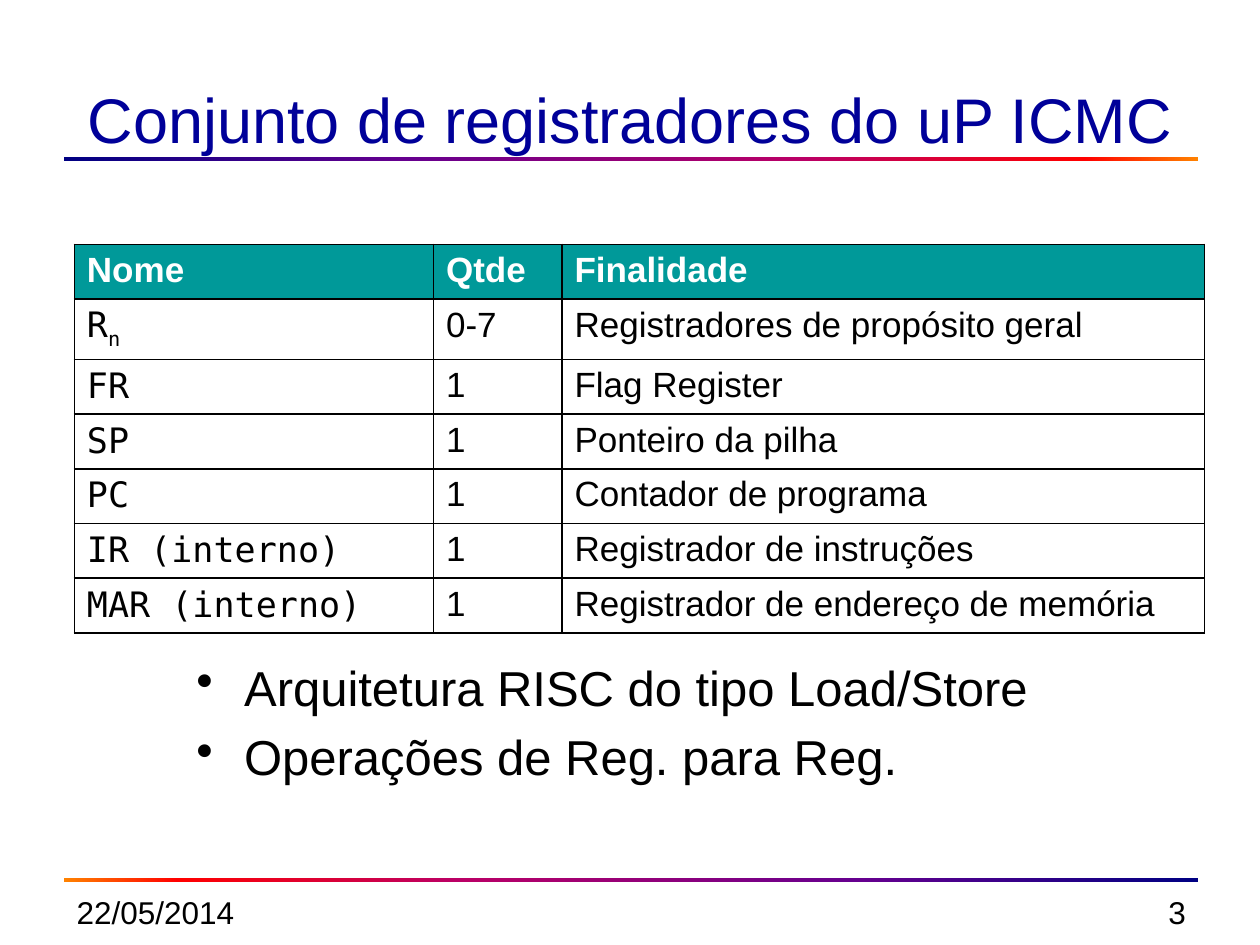
from lxml import etree
from pptx import Presentation
from pptx.dml.color import RGBColor
from pptx.enum.shapes import MSO_SHAPE
from pptx.enum.text import MSO_ANCHOR, PP_ALIGN
from pptx.oxml import parse_xml
from pptx.oxml.ns import nsdecls, qn
from pptx.util import Inches, Pt

RECT = MSO_SHAPE.RECTANGLE
LEFT, MID, RIGHT = PP_ALIGN.LEFT, PP_ALIGN.CENTER, PP_ALIGN.RIGHT
TOP, BASE = MSO_ANCHOR.TOP, MSO_ANCHOR.BOTTOM
SANS, MONO = "Arial", "DejaVu Sans Mono"
HANG = Inches(0.38)
COLORS = {"title": "000099", "head": "009999", "text": "000000", "light": "FFFFFF"}
STOPS = [(0, "000082"), (30, "66008F"), (65, "BA0066"), (90, "FF0000"), (100, "FF8200")]
FORMATS = {
    "title": {"size": Pt(36), "name": SANS},
    "foot": {"size": Pt(18), "name": SANS},
    "list": {"size": Pt(28), "name": SANS},
    "head": {"size": Pt(20), "name": SANS, "bold": True},
    "name": {"size": Pt(20), "name": MONO, "bold": False},
    "cell": {"size": Pt(20), "name": SANS, "bold": False},
}
ROWS = [
    ("Nome", "Qtde", "Finalidade"),
    ("R", "0-7", "Registradores de propósito geral"),
    ("FR", "1", "Flag Register"),
    ("SP", "1", "Ponteiro da pilha"),
    ("PC", "1", "Contador de programa"),
    ("IR (interno)", "1", "Registrador de instruções"),
    ("MAR (interno)", "1", "Registrador de endereço de memória"),
]
ITEMS = ["Arquitetura RISC do tipo Load/Store", "Operações de Reg. para Reg."]


def inches(box):
    """Turn a box of numbers into lengths."""
    return [Inches(v) for v in box]


def add_run(para, text, style, color="text"):
    """Add a formatted run to a paragraph."""
    run = para.add_run()
    run.text = text
    for key, value in FORMATS[style].items():
        setattr(run.font, key, value)
    run.font.color.rgb = RGBColor.from_string(COLORS[color])
    return run


def hang(para):
    """Give a paragraph a hanging indent."""
    props = para._p.get_or_add_pPr()
    props.set("marL", str(HANG))
    props.set("indent", str(-HANG))
    return props


def add_text(slide, box, lines, style, color="text", align=LEFT, anchor=TOP, bullet=None):
    """Place a text box with one paragraph for each line."""
    frame = slide.shapes.add_textbox(*inches(box)).text_frame
    frame.word_wrap = True
    frame.vertical_anchor = anchor
    for i, line in enumerate(lines):
        para = frame.add_paragraph() if i else frame.paragraphs[0]
        para.alignment = align
        if bullet:
            para.space_before = Pt(6)
            etree.SubElement(hang(para), qn("a:buChar")).set("char", bullet)
        add_run(para, line, style, color)


def add_bar(slide, box, stops):
    """Place a thin bar with a gradient from left to right."""
    bar = slide.shapes.add_shape(RECT, *inches(box))
    bar.shadow.inherit = False
    bar.line.fill.background()
    marks = "".join(
        f'<a:gs pos="{pos * 1000}"><a:srgbClr val="{color}"/></a:gs>' for pos, color in stops
    )
    fill = parse_xml(
        f'<a:gradFill {nsdecls("a")}><a:gsLst>{marks}</a:gsLst><a:lin ang="0" scaled="0"/></a:gradFill>'
    )
    bar._element.spPr.find(qn("a:prstGeom")).addnext(fill)


def add_edges(cell):
    """Draw the four borders of a cell."""
    props = cell._tc.get_or_add_tcPr()
    for side in "LRTB":
        props.append(parse_xml(
            f'<a:ln{side} {nsdecls("a")} w="{Pt(1)}"><a:solidFill>'
            f'<a:srgbClr val="{COLORS["text"]}"/></a:solidFill></a:ln{side}>'
        ))


def add_grid(slide, box, widths):
    """Place the table of registers."""
    grid = slide.shapes.add_table(len(ROWS), len(widths), *inches(box)).table
    grid.horz_banding = False
    for col, width in zip(grid.columns, widths):
        col.width = Inches(width)
    for r, row in enumerate(ROWS):
        grid.rows[r].height = Inches(0.38)
        for c, text in enumerate(row):
            cell = grid.cell(r, c)
            add_edges(cell)
            para = cell.text_frame.paragraphs[0]
            hang(para)
            if r == 0:
                cell.fill.solid()
                cell.fill.fore_color.rgb = RGBColor.from_string(COLORS["head"])
                add_run(para, text, "head", "light")
            else:
                cell.fill.background()
                add_run(para, text, "cell" if c else "name")
    index = add_run(grid.cell(1, 0).text_frame.paragraphs[0], "n", "name")
    index.font._element.set("baseline", "-25000")


def add_frame(slide, left, width):
    """Place the two bars, the date and the page number."""
    add_bar(slide, (left, 1.25, width, 0.03), STOPS)
    add_bar(slide, (left, 6.97, width, 0.03), [(100 - p, c) for p, c in reversed(STOPS)])
    add_text(slide, (left, 7.04, 2.33, 0.52), ["22/05/2014"], "foot")
    add_text(slide, (left + width - 2.33, 7.04, 2.33, 0.52), ["3"], "foot", align=RIGHT)


def main():
    """Build and save the slide."""
    deck = Presentation()
    deck.slide_width, deck.slide_height = Inches(10), Inches(7.5)
    slide = deck.slides.add_slide(deck.slide_layouts[6])
    add_frame(slide, 0.51, 9)
    add_text(slide, (0.51, 0.5, 8.98, 0.79), ["Conjunto de registradores do uP ICMC"],
             "title", "title", MID, BASE)
    add_grid(slide, (0.59, 1.94, 8.97, 2.66), (2.85, 1.02, 5.1))
    add_text(slide, (1.46, 5.17, 7, 1.63), ITEMS, "list", bullet="•")
    deck.save("out.pptx")


main()
